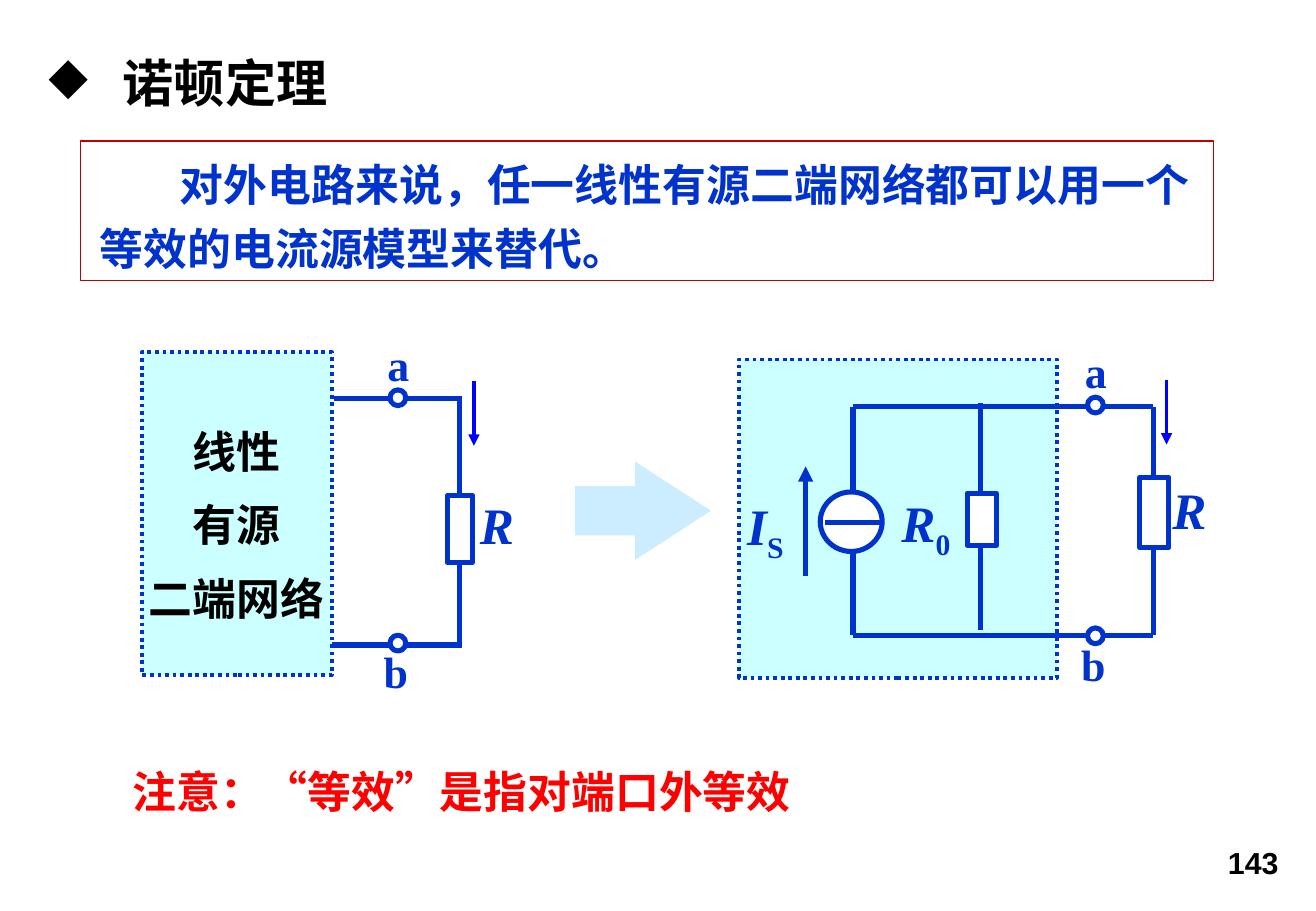
from lxml import etree
from pptx import Presentation
from pptx.dml.color import RGBColor
from pptx.enum.dml import MSO_LINE
from pptx.enum.shapes import MSO_CONNECTOR, MSO_SHAPE
from pptx.enum.text import MSO_ANCHOR, MSO_AUTO_SIZE, PP_ALIGN
from pptx.oxml.ns import qn
from pptx.util import Pt

SCALE = 9144  # EMU in one px, 100 px to the inch
TITLE_ONLY = 5
STRAIGHT = MSO_CONNECTOR.STRAIGHT
RECTANGLE, OVAL, RIGHT_ARROW = MSO_SHAPE.RECTANGLE, MSO_SHAPE.OVAL, MSO_SHAPE.RIGHT_ARROW
DOTTED = MSO_LINE.ROUND_DOT
TOP, MIDDLE = MSO_ANCHOR.TOP, MSO_ANCHOR.MIDDLE
LEFT, CENTER, RIGHT = PP_ALIGN.LEFT, PP_ALIGN.CENTER, PP_ALIGN.RIGHT
COLORS = {
    "ink": "000000", "circuit": "0033CC", "current": "0000FF", "note": "FF0000",
    "frame": "C00000", "network": "CCFFFF", "arrow": "CCECFF", "paper": "FFFFFF",
}
SERIF, SANS = "Times New Roman", "Arial"
LARGE, MEDIUM, SMALL = 30.3, 26, 18


def px(*lengths):
    return [length * SCALE for length in lengths]


def color(name):
    return RGBColor.from_string(COLORS[name])


class CircuitPage:
    def __init__(self, deck):
        self.page = deck.slides.add_slide(deck.slide_layouts[TITLE_ONLY])
        self.shapes = self.page.shapes

    def style(self, box, size, ink, font=SERIF, align=LEFT, anchor=TOP, wrap=True, spacing=None):
        frame = box.text_frame
        frame.auto_size = MSO_AUTO_SIZE.NONE
        frame.word_wrap = wrap
        frame.vertical_anchor = anchor
        for para in frame.paragraphs:
            para.alignment = align
            if spacing:
                para.line_spacing = spacing
            for span in para.runs:
                span.font.name = font
                span.font.size = Pt(size)
                span.font.bold = True
                span.font.color.rgb = color(ink)

    def title(self, text, left, top, width, height, bullet, hang):
        box = self.shapes.title
        box.left, box.top, box.width, box.height = px(left, top, width, height)
        box.text_frame.text = text
        properties = box.text_frame.paragraphs[0]._p.get_or_add_pPr()
        properties.set("marL", str(hang * SCALE))
        properties.set("indent", str(-hang * SCALE))
        etree.SubElement(properties, qn("a:buChar")).set("char", bullet)
        self.style(box, LARGE, "ink")

    def text(self, text, left, top, width, height, size=MEDIUM, ink="circuit", **style):
        box = self.shapes.add_textbox(*px(left, top, width, height))
        box.text_frame.text = text
        self.style(box, size, ink, **style)
        return box

    def statement(self, text, left, top, width, height, first_indent):
        box = self.text(text, left, top, width, height, anchor=MIDDLE, spacing=1.2)
        box.line.color.rgb = color("frame")
        box.line.width = Pt(0.75)
        frame = box.text_frame
        frame.margin_left, frame.margin_top, frame.margin_right, frame.margin_bottom = px(16, 9, 9, 9)
        frame.paragraphs[0]._p.get_or_add_pPr().set("indent", str(first_indent * SCALE))

    def symbol(self, letter, left, top, width, subscript=""):
        box = self.text(letter, left, top, width, 61, LARGE, wrap=False)
        para = box.text_frame.paragraphs[0]
        if subscript:
            para.add_run().text = subscript
            self.style(box, LARGE, "circuit", wrap=False)
            para.runs[1]._r.get_or_add_rPr().set("baseline", "-25000")
        para.runs[0].font.italic = True

    def shape(self, kind, left, top, width, height, fill="paper", line="circuit", weight=3):
        shape = self.shapes.add_shape(kind, *px(left, top, width, height))
        shape.shadow.inherit = False
        shape.fill.solid()
        shape.fill.fore_color.rgb = color(fill)
        if line:
            shape.line.color.rgb = color(line)
            shape.line.width = Pt(weight)
        else:
            shape.line.fill.background()
        return shape

    def network(self, left, top, width, height, text=""):
        box = self.shape(RECTANGLE, left, top, width, height, "network", weight=2.25)
        box.line.dash_style = DOTTED
        if text:
            box.text_frame.text = text
            self.style(box, MEDIUM, "ink", align=CENTER, anchor=MIDDLE, wrap=False, spacing=1.4)

    def wire(self, x1, y1, x2, y2, ink="circuit", weight=3, arrow=False):
        wire = self.shapes.add_connector(STRAIGHT, *px(x1, y1, x2, y2))
        wire.line.color.rgb = color(ink)
        wire.line.width = Pt(weight)
        etree.SubElement(wire._element.spPr, qn("a:effectLst"))
        if arrow:
            etree.SubElement(wire.line._get_or_add_ln(), qn("a:tailEnd")).set("type", "triangle")

    def terminals(self, left, top_a, top_b):
        for letter, top, shift_x, shift_y in (("a", top_a, -12, -48), ("b", top_b, -15, 3)):
            self.text(letter, left + shift_x, top + shift_y, 40, 54, wrap=False)
            self.shape(OVAL, left, top, 13, 13)

    def current(self, x, top):
        self.wire(x, top, x, top + 53, "current", 2.25, arrow=True)


def source_network(page):
    page.wire(378, 328, 378, 532)
    page.network(117, 290, 156, 266, "线性\n有源\n二端网络")
    page.wire(275, 328, 380, 328)
    page.wire(273, 531, 380, 531)
    page.shape(RECTANGLE, 368, 408, 21, 55)
    page.symbol("R", 385, 401, 49)
    page.terminals(321, 321, 523)
    page.current(390, 314)


def norton_model(page):
    page.network(608, 296, 262, 262)
    for y in (335, 523):
        page.wire(702, y, 949, y)
    for x, top, bottom in ((702, 335, 523), (807, 332, 519), (949, 335, 523)):
        page.wire(x, top, x, bottom)
    page.shape(RECTANGLE, 938, 393, 24, 58)
    page.symbol("R", 955, 389, 49)
    page.shape(RECTANGLE, 796, 406, 24, 43)
    page.symbol("R", 732, 400, 85, "0")
    page.shape(OVAL, 675, 405, 51, 49)
    page.wire(679, 430, 724, 430)
    page.wire(663, 474, 663, 384, arrow=True)
    page.symbol("I", 605, 402, 78, "S")
    page.terminals(895, 327, 517)
    page.current(960, 313)


def main():
    deck = Presentation()
    deck.slide_width, deck.slide_height = px(1083, 750)
    page = CircuitPage(deck)
    page.title("诺顿定理", 30, 37, 415, 61, "◆", 61)
    page.statement("对外电路来说，任一线性有源二端网络都可以用一个等效的电流源模型来替代。",
                   66, 116, 933, 115, 66)
    source_network(page)
    arrow = page.shape(RIGHT_ARROW, 473, 380, 112, 81, "arrow", line=None)
    arrow.adjustments[1] = 0.77
    norton_model(page)
    page.text("注意：“等效”是指对端口外等效", 99, 625, 602, 54, ink="note")
    page.text("143", 763, 690, 299, 40, SMALL, "ink", font=SANS, align=RIGHT)
    deck.save("out.pptx")


if __name__ == "__main__":
    main()
